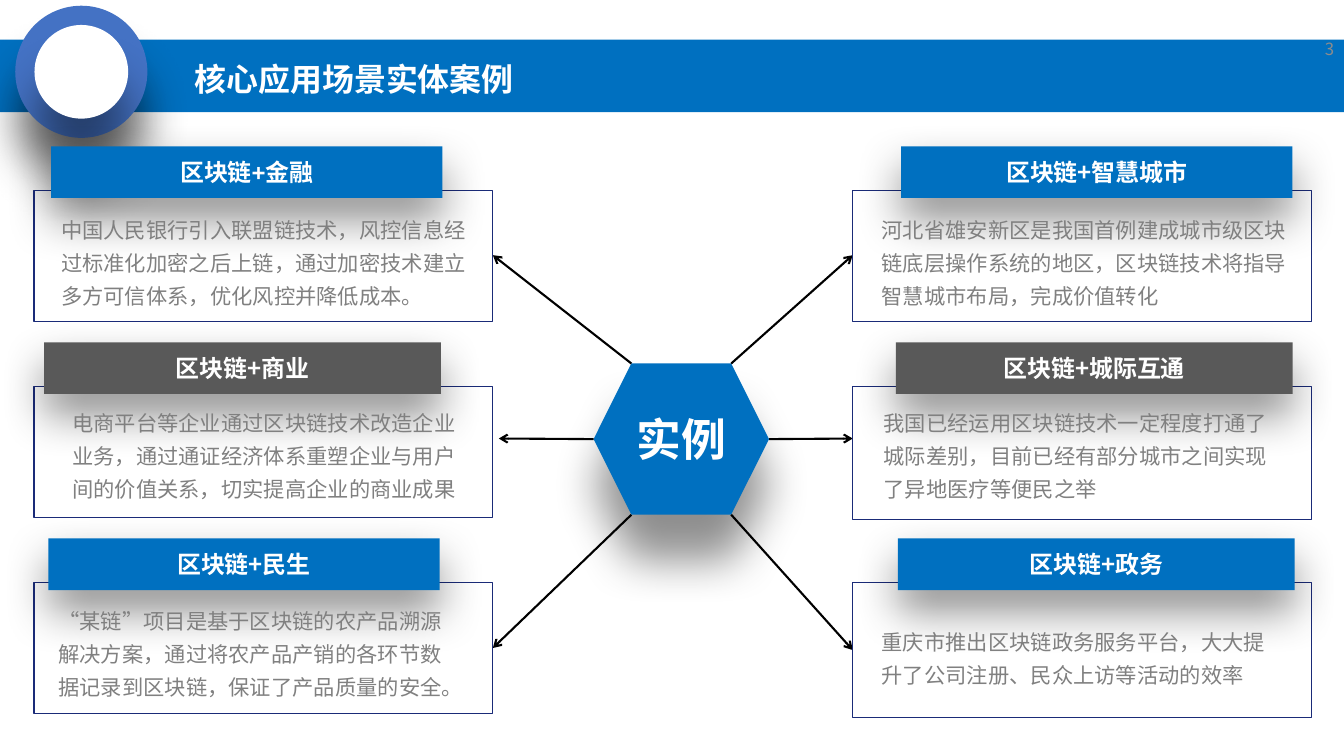
import pptx
import pptx.util
import pptx.dml.color
import pptx.enum.shapes
import pptx.enum.text
import pptx.oxml
import pptx.oxml.ns

Cm, Pt = pptx.util.Cm, pptx.util.Pt
Kind = pptx.enum.shapes.MSO_SHAPE
Align = pptx.enum.text.PP_ALIGN
Anchor = pptx.enum.text.MSO_ANCHOR
qn = pptx.oxml.ns.qn
FONT = "Noto Sans CJK SC"
BLUE, GREY, WHITE = "0070C0", "595959", "FFFFFF"


def color(text):
    return pptx.dml.color.RGBColor.from_string(text)


def add_xml(parent, text):
    space = pptx.oxml.ns.nsdecls("a")
    parent.append(pptx.oxml.parse_xml(text.replace("/>", f" {space}/>", 1)
                  if text.endswith("/>") and text.count("<") == 1
                  else text.replace(">", f" {space}>", 1)))


def write(shape, text, size, tint, bold=False, align=Align.LEFT,
          anchor=Anchor.MIDDLE, space=None, font=FONT):
    frame = shape.text_frame
    frame.text = text
    frame.word_wrap = True
    frame.vertical_anchor = anchor
    para = frame.paragraphs[0]
    para.alignment = align
    para.line_spacing = space
    run = para.runs[0]
    run.font.size = Pt(size)
    run.font.bold = bold
    run.font.name = font
    run.font.color.rgb = color(tint)
    add_xml(run.font._element, f'<a:ea typeface="{FONT}"/>')
    return para


def shape(slide, kind, box, fill=None, line=None, drop=None):
    item = slide.shapes.add_shape(kind, *map(Cm, box))
    if fill:
        item.fill.solid()
        item.fill.fore_color.rgb = color(fill)
    else:
        item.fill.background()
    if line:
        item.line.color.rgb = color(line)
        item.line.width = Pt(1)
    else:
        item.line.fill.background()
    item.shadow.inherit = False
    if drop:
        effect = item._element.spPr.find(qn("a:effectLst"))
        add_xml(effect, f'<a:outerShdw blurRad="{Pt(33)}" dist="{Pt(drop)}" '
                'dir="5400000" algn="t" rotWithShape="0">'
                '<a:srgbClr val="000000"><a:alpha val="43000"/></a:srgbClr>'
                '</a:outerShdw>')
    return item


def label(slide, box, *args, **style):
    item = slide.shapes.add_textbox(*map(Cm, box))
    return write(item, *args, **style)


def arrow(slide, start, end):
    link = slide.shapes.add_connector(
        pptx.enum.shapes.MSO_CONNECTOR.STRAIGHT, *map(Cm, start + end))
    link.line.color.rgb = color("000000")
    link.line.width = Pt(1.5)
    props = link._element.spPr
    add_xml(props.find(qn("a:ln")), '<a:tailEnd type="arrow"/>')
    add_xml(props, "<a:effectLst/>")


def header(slide, box, text, page):
    left, top, width, height = box
    shape(slide, Kind.RECTANGLE, box, BLUE)
    mid_x, mid_y = left + 2.05, top + 0.81
    for size, fill in ((3.33, "4472C4"), (2.36, WHITE)):
        shape(slide, Kind.OVAL, (mid_x - size / 2, mid_y - size / 2, size, size),
              fill, drop=33)
    title = slide.shapes.title
    title.left, title.top = Cm(left + 4.65), Cm(top + 0.38)
    title.width, title.height = Cm(10.82), Cm(1.32)
    para = write(title, text, 22.8, WHITE, bold=True, space=0.9)
    para.space_before = Pt(10)
    slide.shapes._spTree.append(title._element)
    label(slide, (left + width - 1.65, top - 0.28, 1.65, 1.02),
          page, 12, "8C8C8C", align=Align.RIGHT)


def card(slide, box, name, body, fill, tab, note, font=FONT):
    left, top, width, height = box
    shape(slide, Kind.RECTANGLE, box, line="1A2B78")
    shift, span = tab
    banner = shape(slide, Kind.RECTANGLE, (left + shift, top - 1.11, span, 1.3),
                   fill, drop=15)
    write(banner, "区块链+" + name, 17.1, WHITE, bold=True,
          align=Align.CENTER, font=font)
    shift, drop, span = note
    label(slide, (left + shift, top + drop, span, 2.72), body, 15.2, "808080",
          anchor=Anchor.TOP, space=1.3)


def hub(slide, box, text, ends):
    left, top, width, height = box
    core = shape(slide, Kind.HEXAGON, box, BLUE, drop=33)
    write(core, text, 32, WHITE, bold=True, align=Align.CENTER)
    inset = height / 4
    for side, points in enumerate(ends):
        for row, end in enumerate(points):
            gap = 0 if row == 1 else inset
            x = left + width - gap if side else left + gap
            arrow(slide, (x, top + row * height / 2), end)


LEFT = [
    ("金融", "中国人民银行引入联盟链技术，风控信息经过标准化加密之后上链，"
     "通过加密技术建立多方可信体系，优化风控并降低成本。",
     3.3, (0.43, 9.86), (0.43, 0.36, 10.77), "Arial"),
    ("商业", "电商平台等企业通过区块链技术改造企业业务，通过通证经济体系重塑"
     "企业与用户间的价值关系，切实提高企业的商业成果",
     3.3, (0.25, 10), (0.71, 0.28, 10.57), FONT),
    ("民生", "“某链”项目是基于区块链的农产品溯源解决方案，通过将农产品产销的"
     "各环节数据记录到区块链，保证了产品质量的安全。",
     3.3, (0.36, 9.86), (0.36, 0.33, 10.49), FONT),
]
RIGHT = [
    ("智慧城市", "河北省雄安新区是我国首例建成城市级区块链底层操作系统的地区，"
     "区块链技术将指导智慧城市布局，完成价值转化",
     3.3, (1.22, 9.86), (0.48, 0.36, 10.85), FONT),
    ("城际互通", "我国已经运用区块链技术一定程度打通了城际差别，目前已经有部分"
     "城市之间实现了异地医疗等便民之举",
     3.35, (1.09, 10), (0.53, 0.28, 10.49), FONT),
    ("政务", "重庆市推出区块链政务服务平台，大大提升了公司注册、民众上访等"
     "活动的效率",
     3.4, (1.14, 10), (0.48, 0.86, 10.54), FONT),
]

deck = pptx.Presentation()
deck.slide_width, deck.slide_height = Cm(33.87), Cm(19.05)
page = deck.slides.add_slide(deck.slide_layouts[5])
header(page, (0, 1, 33.87, 1.83), "核心应用场景实体案例", "3")
hub(page, (14.96, 9.16, 4.42, 3.81), "实例",
    [[(12.42, 6.43), (12.57, 11.05), (12.42, 16.33)],
     [(21.49, 6.43), (21.49, 11.05), (21.49, 16.38)]])
for left, cards in ((0.86, LEFT), (21.49, RIGHT)):
    for row, (name, body, height, tab, note, font) in enumerate(cards):
        card(page, (left, 4.8 + row * 4.94, 11.56, height), name, body,
             GREY if row == 1 else BLUE, tab, note, font)
deck.save("out.pptx")
